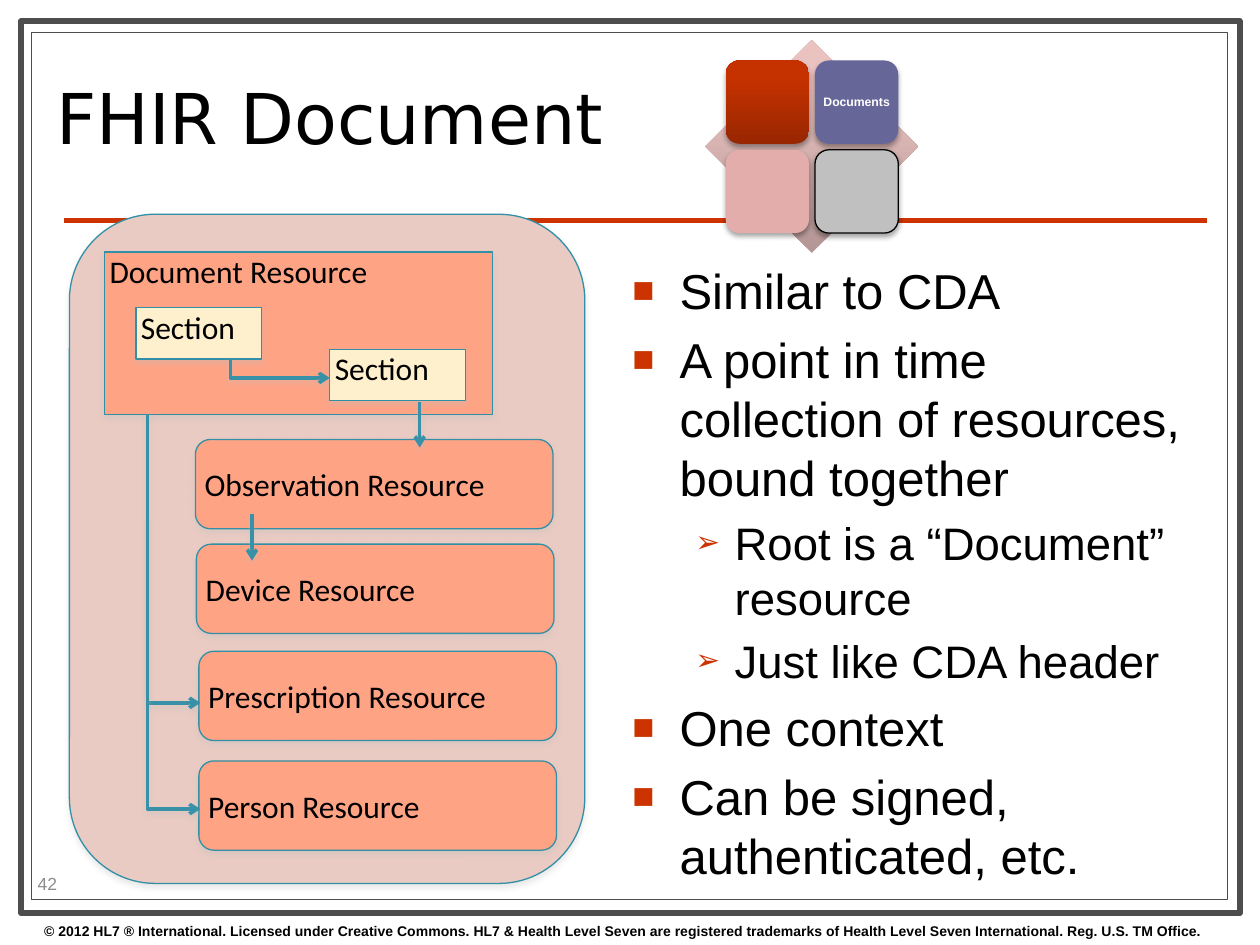
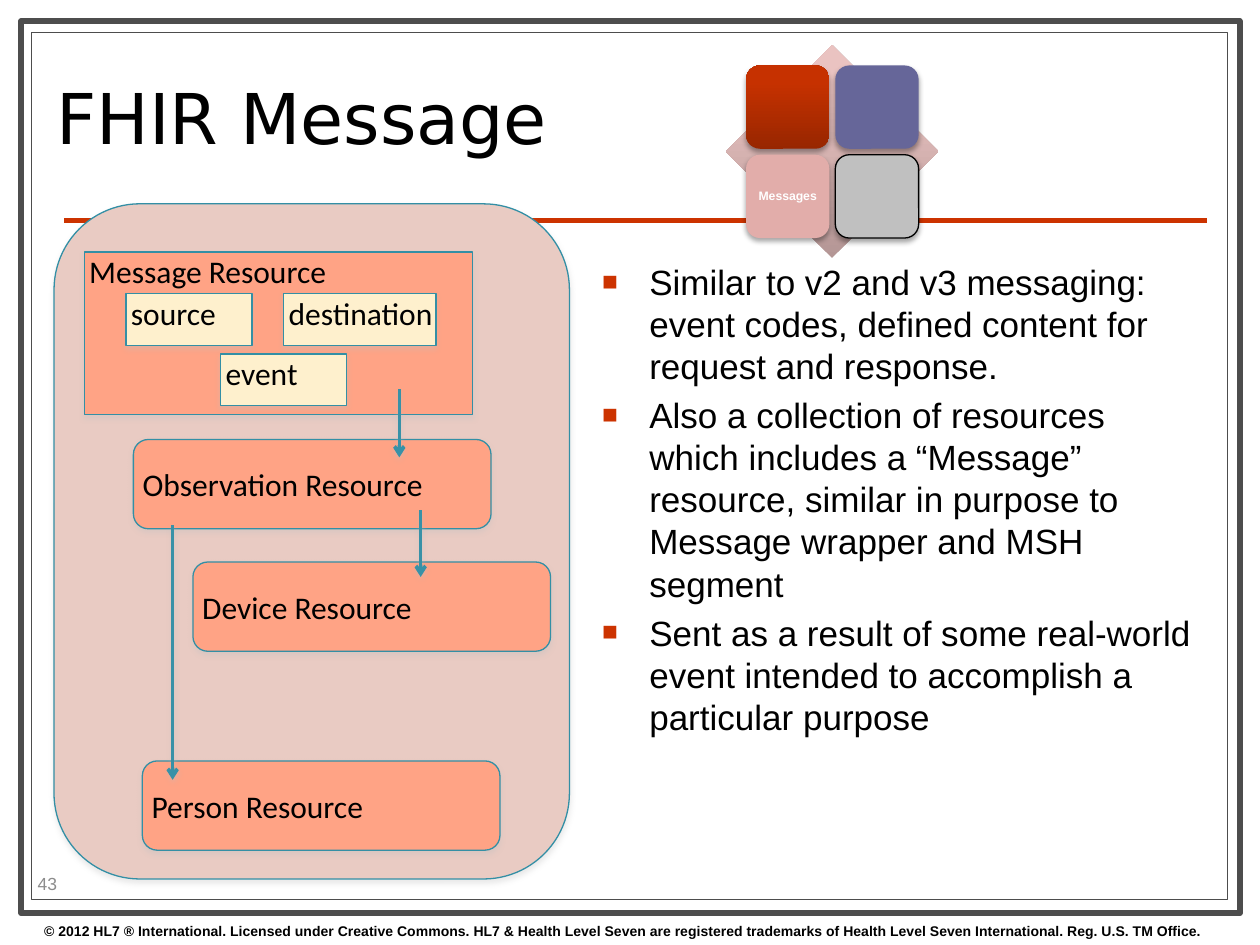
"""Builds two slides that explain the document and the message in FHIR."""
import dataclasses
import typing

import pptx
import pptx.dml.color
import pptx.enum.shapes
import pptx.enum.text
import pptx.oxml
import pptx.oxml.ns
import pptx.util
from lxml import etree

Cm = pptx.util.Cm
Pt = pptx.util.Pt
Kind = pptx.enum.shapes.MSO_SHAPE
Anchor = pptx.enum.text.MSO_ANCHOR
Align = pptx.enum.text.PP_ALIGN
qn = pptx.oxml.ns.qn


@dataclasses.dataclass(frozen=True)
class Theme:
    ink: str = "000000"
    paper: str = "FFFFFF"
    frame: str = "4D4D4D"
    accent: str = "CC3300"
    mute: str = "8C8C8C"
    panel: str = "E9CBC3"
    card: str = "FFA385"
    chip: str = "FEF0CD"
    edge: str = "338FA5"
    arrow: str = "3891A7"
    haze: str = "C0C0C0"
    violet: str = "666699"
    rose: str = "E2ADAA"
    red: tuple[str, str] = ("982600", "C63100")
    blush: tuple[str, str] = ("B49695", "EAC3C1")
    sans: str = "Arial"
    head: str = "DejaVu Sans"
    label: str = "Calibri"
    title_size: int = 40
    card_size: int = 18
    page_size: int = 10
    foot_size: int = 8
    tile_size: int = 7


class Box(typing.NamedTuple):
    left: float
    top: float
    width: float
    height: float


class Font(typing.NamedTuple):
    face: str
    size: float
    color: str
    bold: bool = False


class Glow(typing.NamedTuple):
    color: str
    blur: float
    drop: float
    alpha: int


class Block(typing.NamedTuple):
    text: str
    box: Box
    fill: str
    kind: typing.Any = Kind.RECTANGLE


class Arrow(typing.NamedTuple):
    x: float
    y: float
    end_x: float
    end_y: float


class Point(typing.NamedTuple):
    text: str
    size: int
    level: int = 0


class Bullet(typing.NamedTuple):
    sign: str
    scale: int
    left: float
    hang: float


class Page(typing.NamedTuple):
    title: str
    number: str
    body: Box
    points: list[Point]
    blocks: list[Block]
    arrows: list[Arrow]
    grid: tuple[float, float]
    active: int
    tag: str


THEME = Theme()
CARD_GLOW = Glow(THEME.haze, 3, 1.8, 35)
LINE_GLOW = Glow(THEME.haze, 3, 1.6, 38)
TILE_GLOW = Glow(THEME.ink, 3.1, 1.8, 35)
BULLETS = [Bullet("■", 75, 0.95, 0.95), Bullet("➢", 65, 2.06, 0.79)]
RIGHTS = ("© 2012 HL7 ® International. Licensed under Creative Commons. HL7 & Health Level "
          "Seven are registered trademarks of Health Level Seven International. "
          "Reg. U.S. TM Office.")


def tint(code: str) -> pptx.dml.color.RGBColor:
    return pptx.dml.color.RGBColor.from_string(code)


def place(box: Box) -> list[int]:
    return [Cm(side) for side in box]


def add_glow(shape, glow: Glow | None = None) -> None:
    effect = etree.SubElement(shape._element.spPr, qn("a:effectLst"))
    if glow:
        cast = etree.SubElement(effect, qn("a:outerShdw"), blurRad=str(Pt(glow.blur)),
                                dist=str(Pt(glow.drop)), dir="5400000", rotWithShape="0")
        color = etree.SubElement(cast, qn("a:srgbClr"), val=glow.color)
        etree.SubElement(color, qn("a:alpha"), val=str(glow.alpha * 1000))


def add_text(par, text: str, font: Font) -> None:
    run = par.add_run()
    run.text = text
    run.font.name = font.face
    run.font.size = Pt(font.size)
    run.font.bold = font.bold
    run.font.color.rgb = tint(font.color)


def set_frame(shape, anchor, pads: tuple[float, ...]):
    frame = shape.text_frame
    frame.word_wrap = True
    frame.vertical_anchor = anchor
    (frame.margin_left, frame.margin_top,
     frame.margin_right, frame.margin_bottom) = [Cm(pad) for pad in pads]
    return frame


def add_label(slide, box: Box, text: str, font: Font, anchor=Anchor.TOP):
    shape = slide.shapes.add_textbox(*place(box))
    par = set_frame(shape, anchor, (0.25, 0.13, 0.25, 0.13)).paragraphs[0]
    add_text(par, text, font)
    return par


def add_shape(slide, kind, box: Box, fill: str | tuple[str, str],
              edge: str | None = None, width: float = 0.75, glow: Glow | None = None):
    shape = slide.shapes.add_shape(kind, *place(box))
    if isinstance(fill, str):
        shape.fill.solid()
        shape.fill.fore_color.rgb = tint(fill)
    else:
        shape.fill.gradient()
        shape.fill.gradient_angle = 90
        for stop, code, spot in zip(shape.fill.gradient_stops, fill, (0, 0.8)):
            stop.color.rgb = tint(code)
            stop.position = spot
    if edge:
        shape.line.color.rgb = tint(edge)
        shape.line.width = Pt(width)
    else:
        shape.line.fill.background()
    add_glow(shape, glow)
    return shape


def add_block(slide, block: Block) -> None:
    shape = add_shape(slide, block.kind, block.box, block.fill, THEME.edge, glow=CARD_GLOW)
    if block.text:
        anchor = Anchor.TOP if block.kind == Kind.RECTANGLE else Anchor.MIDDLE
        par = set_frame(shape, anchor, (0.1, 0, 0, 0)).paragraphs[0]
        par.alignment = Align.LEFT
        add_text(par, block.text, Font(THEME.label, THEME.card_size, THEME.ink))


def add_line(slide, start: tuple[float, float], end: tuple[float, float],
             color: str, width: float):
    line = slide.shapes.add_connector(pptx.enum.shapes.MSO_CONNECTOR.STRAIGHT,
                                      *[Cm(side) for side in (*start, *end)])
    line.line.color.rgb = tint(color)
    line.line.width = Pt(width)
    return line


def add_arrow(slide, arrow: Arrow) -> None:
    x, y, end_x, end_y = arrow
    if x == end_x:
        shape = add_line(slide, (x, y), (end_x, end_y), THEME.arrow, 2)
    else:
        bend = slide.shapes.build_freeform(Cm(x), Cm(y))
        bend.add_line_segments([(Cm(x), Cm(end_y)), (Cm(end_x), Cm(end_y))], close=False)
        shape = bend.convert_to_shape()
        shape.fill.background()
        shape.line.color.rgb = tint(THEME.arrow)
        shape.line.width = Pt(2)
    etree.SubElement(shape._element.spPr.find(qn("a:ln")), qn("a:tailEnd"), type="arrow")
    add_glow(shape, LINE_GLOW)


def add_points(slide, box: Box, points: list[Point]) -> None:
    shape = slide.shapes.add_textbox(*place(box))
    frame = set_frame(shape, Anchor.TOP, (0.25, 0.13, 0.25, 0.13))
    for index, point in enumerate(points):
        par = frame.add_paragraph() if index else frame.paragraphs[0]
        mark = BULLETS[point.level]
        props = par._p.get_or_add_pPr()
        props.set("marL", str(Cm(mark.left)))
        props.set("indent", str(-Cm(mark.hang)))
        color = etree.SubElement(props, qn("a:buClr"))
        etree.SubElement(color, qn("a:srgbClr"), val=THEME.accent)
        etree.SubElement(props, qn("a:buSzPct"), val=str(mark.scale * 1000))
        etree.SubElement(props, qn("a:buFont"), typeface=THEME.sans)
        etree.SubElement(props, qn("a:buChar"), char=mark.sign)
        par.level = point.level
        par.line_spacing = Pt(point.size * 1.2)
        if index:
            par.space_before = Pt(point.size * 0.2)
        add_text(par, point.text, Font(THEME.sans, point.size, THEME.ink))


def add_grid(slide, page: Page) -> None:
    left, top = page.grid
    add_shape(slide, Kind.DIAMOND, Box(left, top, 4.29, 4.29), THEME.blush)
    for index, fill in enumerate((THEME.red, THEME.violet, THEME.rose, THEME.haze)):
        row, col = divmod(index, 2)
        box = Box(left + 0.41 + col * 1.8, top + 0.41 + row * 1.8, 1.68, 1.68)
        tile = add_shape(slide, Kind.ROUNDED_RECTANGLE, box, fill,
                         THEME.ink if index == 3 else None, glow=TILE_GLOW)
        if index == page.active:
            par = set_frame(tile, Anchor.MIDDLE, (0, 0, 0, 0)).paragraphs[0]
            par.alignment = Align.CENTER
            par.line_spacing = 0.9
            add_text(par, page.tag, Font(THEME.sans, THEME.tile_size, THEME.paper, True))


def add_base(slide, page: Page) -> None:
    for box, width in ((Box(0.43, 0.43, 24.56, 17.98), 3.5),
                       (Box(0.64, 0.66, 24.1, 17.48), 0.75)):
        add_shape(slide, Kind.RECTANGLE, box, THEME.paper, THEME.frame, width)
    add_glow(add_line(slide, (1.3, 4.45), (24.33, 4.45), THEME.accent, 3))
    add_label(slide, Box(0.64, 18.47, 24.5, 0.58), RIGHTS,
              Font(THEME.sans, THEME.foot_size, THEME.ink, True))
    title = add_label(slide, Box(0.89, 0.91, 18.21, 3.2), page.title,
                      Font(THEME.head, THEME.title_size, THEME.ink), Anchor.MIDDLE)
    title.line_spacing = 0.8
    add_label(slide, Box(0.51, 17.5, 2.01, 0.61), page.number,
              Font(THEME.sans, THEME.page_size, THEME.mute), Anchor.MIDDLE)


def panel(left: float, top: float, height: float) -> Block:
    return Block("", Box(left, top, 10.39, height), THEME.panel, Kind.ROUNDED_RECTANGLE)


def card(text: str, left: float, top: float) -> Block:
    return Block(f"{text} Resource", Box(left, top, 7.21, 1.8), THEME.card,
                 Kind.ROUNDED_RECTANGLE)


def root(text: str, left: float) -> Block:
    return Block(f"{text} Resource", Box(left, 5.08, 7.82, 3.28), THEME.card)


def chip(text: str, left: float, top: float, width: float = 2.54) -> Block:
    return Block(text, Box(left, top, width, 1.04), THEME.chip)


PAGES = [
    Page("FHIR Document", "42", Box(12.5, 5.13, 11.84, 12.45),
         [Point("Similar to CDA", 28),
          Point("A point in time collection of resources, bound together", 28),
          Point("Root is a “Document” resource", 26, 1),
          Point("Just like CDA header", 26, 1),
          Point("One context", 28),
          Point("Can be signed, authenticated, etc.", 28)],
         [panel(1.4, 4.32, 13.49), root("Document", 2.11),
          chip("Section", 2.74, 6.2), chip("Section", 6.65, 7.04, 2.74),
          card("Observation", 3.94, 8.86), card("Device", 3.96, 10.97),
          card("Prescription", 4.01, 13.13), card("Person", 4.01, 15.34)],
         [Arrow(4.65, 7.24, 6.65, 7.62), Arrow(2.97, 8.36, 4.04, 14.17),
          Arrow(2.97, 10.46, 4.04, 16.31), Arrow(8.46, 8.1, 8.46, 9.02),
          Arrow(5.08, 10.36, 5.08, 11.3)],
         (14.22, 0.81), 1, "Documents"),
    Page("FHIR Message", "43", Box(11.89, 5.13, 12.45, 12.45),
         [Point("Similar to v2 and v3 messaging: event codes, defined content for "
                "request and response.", 20),
          Point("Also a collection of resources which includes a “Message” resource, "
                "similar in purpose to Message wrapper and MSH segment", 20),
          Point("Sent as a result of some real-world event intended to accomplish a "
                "particular purpose", 20)],
         [panel(1.09, 4.11, 13.61), root("Message", 1.7),
          chip("source", 2.54, 5.92), chip("destination", 5.72, 5.92, 3.07),
          chip("event", 4.45, 7.14), card("Observation", 2.69, 8.86),
          card("Device", 3.89, 11.33), card("Person", 2.87, 15.34)],
         [Arrow(8.05, 7.85, 8.05, 9.22), Arrow(8.48, 10.29, 8.48, 11.63),
          Arrow(3.48, 10.59, 3.48, 15.72)],
         (14.63, 0.91), 2, "Messages"),
]


def main() -> None:
    deck = pptx.Presentation()
    deck.slide_width, deck.slide_height = Cm(25.4), Cm(19.05)
    for page in PAGES:
        slide = deck.slides.add_slide(deck.slide_layouts[6])
        add_base(slide, page)
        add_points(slide, page.body, page.points)
        for block in page.blocks:
            add_block(slide, block)
        for arrow in page.arrows:
            add_arrow(slide, arrow)
        add_grid(slide, page)
    deck.save("out.pptx")


if __name__ == "__main__":
    main()
